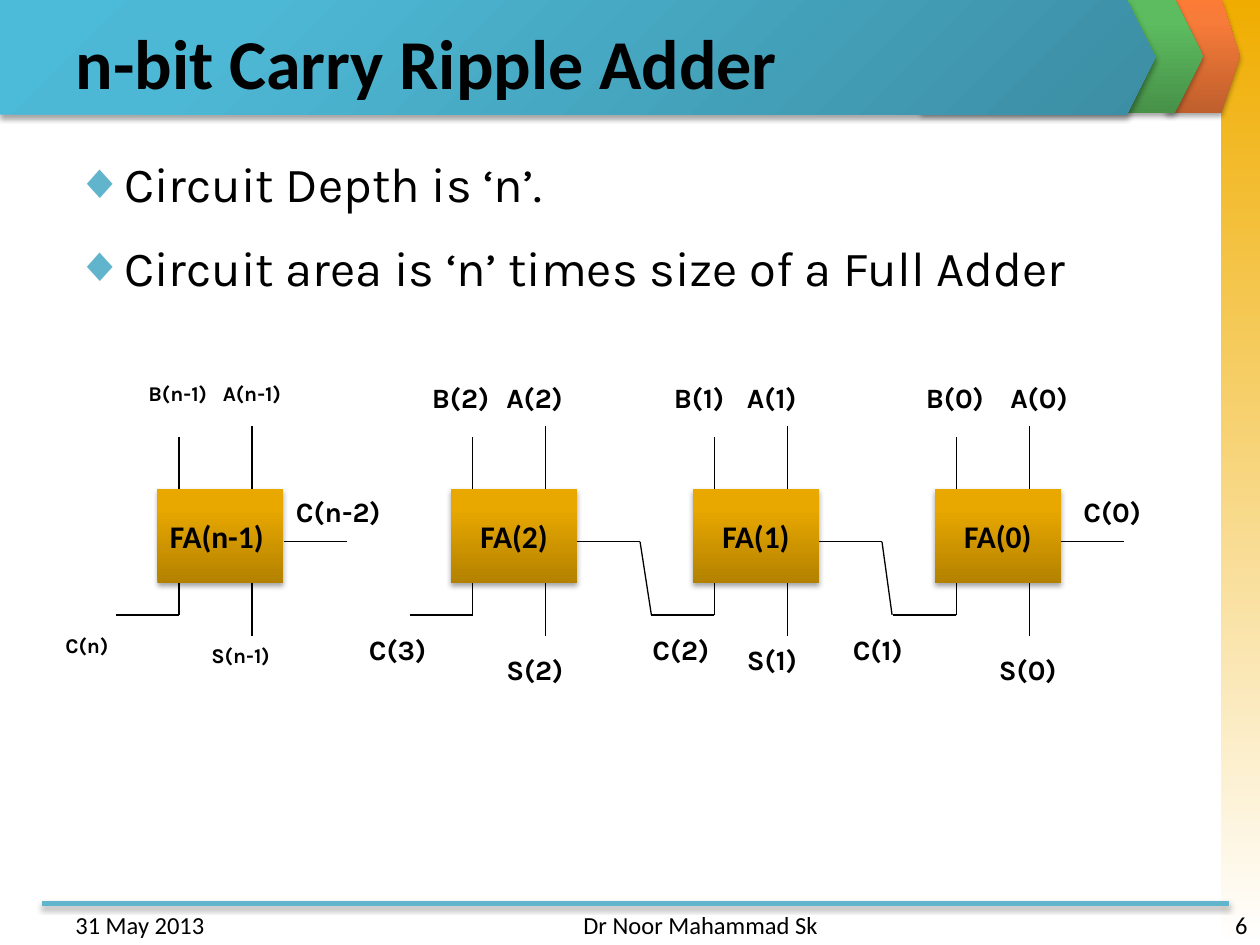
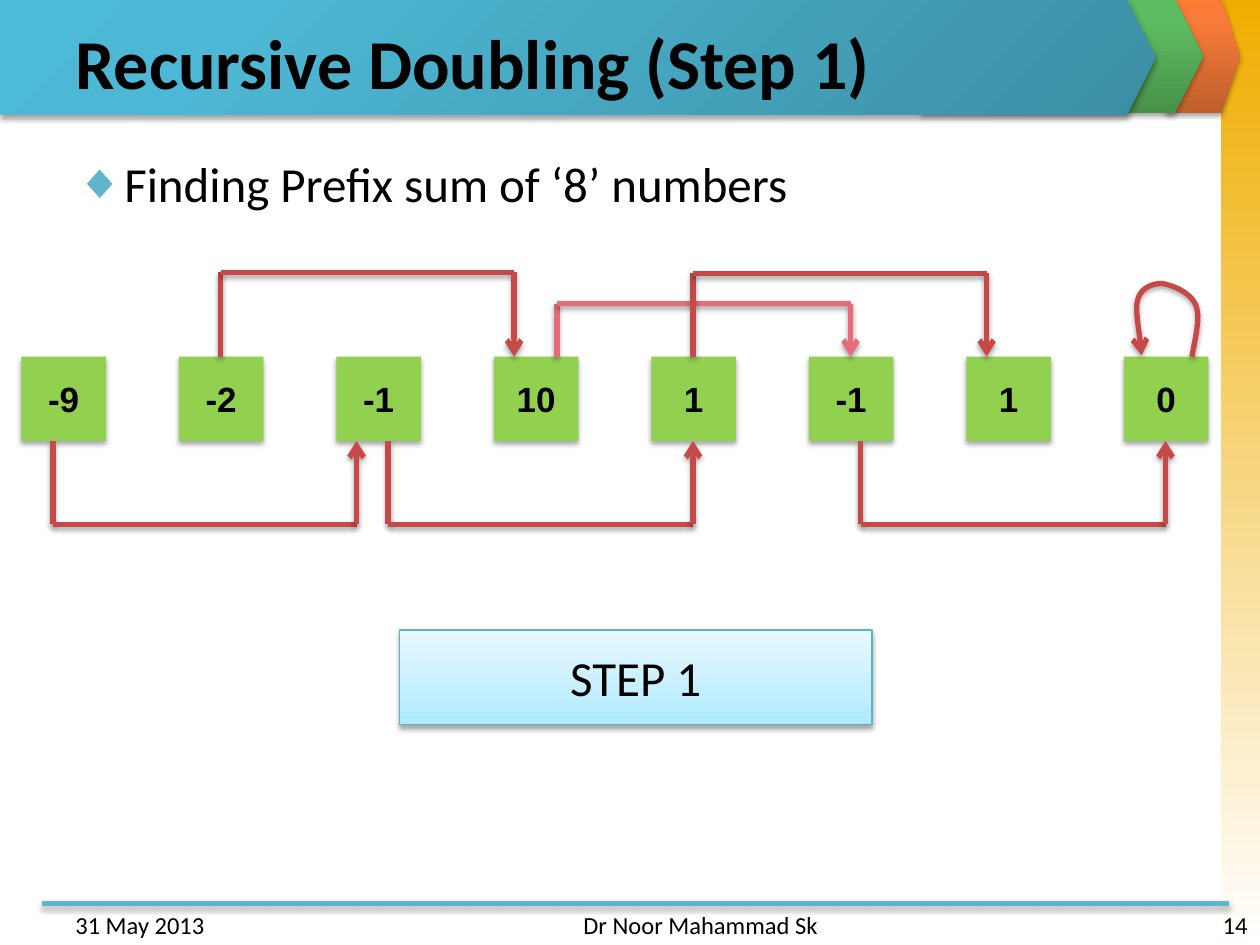
from lxml import etree
from pptx import Presentation
from pptx import util as u
from pptx.dml import color
from pptx.enum import shapes, text
from pptx.oxml import ns

COLORS = {
    "ink": "000000", "rule": "60B5CC", "cell": "92D050",
    "red": "C64847", "pink": "E66C7D", "step_line": "5BB3CA",
}
GRADIENTS = {
    "strip": [(0, "F0AD00"), (100, "FFFFFF")],
    "orange": [(0, "BE5F2C"), (80, "F77B39"), (100, "FC7B35")],
    "green": [(0, "479149"), (80, "5DBC5F"), (100, "5BBF5E")],
    "blue": [(0, "3C8EA4"), (80, "4DB8D5"), (100, "4BBBD9")],
    "adder": [(0, "B38100"), (80, "E9A800"), (100, "EAA800")],
    "step": [(0, "ADE9FF"), (35, "C5EFFF"), (100, "E9F9FF")],
}
A = 'xmlns:a="http://schemas.openxmlformats.org/drawingml/2006/main"'
LEFT, CENTER, RIGHT = text.PP_ALIGN.LEFT, text.PP_ALIGN.CENTER, text.PP_ALIGN.RIGHT
RECT, PENTAGON = shapes.MSO_SHAPE.RECTANGLE, shapes.MSO_SHAPE.PENTAGON


def finish(sp, shadow=True, gradient=None, angle=270, line=None, width=0.75, arrow=False):
    spPr = sp._element.spPr
    if gradient:
        sp.fill.solid()
        stops = "".join(f'<a:gs pos="{pos * 1000}"><a:srgbClr val="{rgb}"/></a:gs>'
                        for pos, rgb in GRADIENTS[gradient])
        shade = f'<a:lin ang="{angle * 60000}" scaled="0"/>'
        if gradient == "blue":
            shade = '<a:path path="circle"><a:fillToRect l="100000" t="100000"/></a:path>'
        spPr.replace(spPr.find(ns.qn("a:solidFill")), etree.fromstring(
            f'<a:gradFill {A} rotWithShape="1"><a:gsLst>{stops}</a:gsLst>{shade}</a:gradFill>'))
    if line:
        sp.line.color.rgb = color.RGBColor.from_string(COLORS[line])
        sp.line.width = u.Pt(width)
    else:
        sp.line.fill.background()
    if arrow:
        etree.SubElement(spPr.find(ns.qn("a:ln")), ns.qn("a:tailEnd"), type="arrow")
    effects = etree.SubElement(spPr, ns.qn("a:effectLst"))
    if shadow:
        effects.append(etree.fromstring(
            f'<a:outerShdw {A} blurRad="{u.Pt(3.1)}" dist="{u.Pt(1.8)}" dir="5400000" rotWithShape="0">'
            '<a:srgbClr val="000000"><a:alpha val="35000"/></a:srgbClr></a:outerShdw>'))


def write(p, words, size, font="Calibri", bold=False, align=LEFT):
    p.alignment = align
    r = p.add_run()
    r.text = words
    r.font.size, r.font.name, r.font.bold = u.Pt(size), font, bold
    r.font.color.rgb = color.RGBColor.from_string(COLORS["ink"])


prs = Presentation()
prs.slide_width, prs.slide_height = u.Inches(10), u.Inches(7.5)
layout = prs.slide_layouts[1]
adder = prs.slides.add_slide(layout)
doubling = prs.slides.add_slide(layout)

bands = []
for kind, gradient, x, y, w, h in [
    (RECT, "strip", 9.69, 0, 0.31, 7.5),
    (PENTAGON, "orange", 9.25, -0.01, 0.59, 0.91),
    (PENTAGON, "green", 7.31, -0.01, 2.24, 0.91),
    (PENTAGON, "blue", 0, 0, 9.17, 0.91),
]:
    sp = adder.shapes.add_shape(kind, *map(u.Inches, (x, y, w, h)))
    if kind == PENTAGON:
        sp.adjustments[0] = 0.25
    finish(sp, kind == PENTAGON, gradient, 90 if kind == RECT else 270)
    bands.append(sp)
rule = adder.shapes.add_connector(shapes.MSO_CONNECTOR.STRAIGHT,
                                  *map(u.Inches, (0.33, 7.17, 9.75, 7.17)))
finish(rule, line="rule", width=3)
for i, sp in enumerate(bands + [rule]):
    sp._element.xpath(".//p:cNvPr")[0].set("id", str(20 + i))
    layout.shapes._spTree.insert(2 + i, sp._element)

for s, title, bullets, font, height, number in [
    (adder, "n-bit Carry Ripple Adder",
     ["Circuit Depth is ‘n’.", "Circuit area is ‘n’ times size of a Full Adder"], "Karla", 1.25, "6"),
    (doubling, "Recursive Doubling (Step 1)",
     ["Finding Prefix sum of ‘8’ numbers"], "Calibri", 0.75, "14"),
]:
    head, body = s.shapes.title, s.placeholders[1]
    for sp, y, h in [(head, 0.14, 0.69), (body, 1.17, height)]:
        sp.left, sp.top, sp.width, sp.height = map(u.Inches, (0.5, y, 9, h))
        sp.text_frame.auto_size = text.MSO_AUTO_SIZE.NONE
    head.text_frame.vertical_anchor = text.MSO_ANCHOR.MIDDLE
    write(head.text_frame.paragraphs[0], title, 40, bold=True)
    tf = body.text_frame
    for i, words in enumerate(bullets):
        p = tf.add_paragraph() if i else tf.paragraphs[0]
        pPr = p._p.get_or_add_pPr()
        pPr.set("marL", str(u.Inches(0.38)))
        pPr.set("indent", str(u.Inches(-0.38)))
        clr = etree.SubElement(pPr, ns.qn("a:buClr"))
        etree.SubElement(clr, ns.qn("a:srgbClr"), val=COLORS["rule"])
        etree.SubElement(pPr, ns.qn("a:buFont"), typeface="Arial")
        etree.SubElement(pPr, ns.qn("a:buChar"), char="◆")
        p.space_before = u.Pt(14 if i else 0)
        write(p, words, 28, font)
    for words, x, w, align in [("31 May 2013", 0.5, 2.33, LEFT),
                               ("Dr Noor Mahammad Sk", 3.42, 3.17, RIGHT),
                               (number, 7.67, 2.33, RIGHT)]:
        tf = s.shapes.add_textbox(*map(u.Inches, (x, 7.17, w, 0.25))).text_frame
        tf.word_wrap = True
        write(tf.paragraphs[0], words, 14, align=align)

wires = [(7, 4.3, 7.08, 4.88), (5.08, 4.3, 5.17, 4.88)]
for name, x in [("FA(0)", 7.42), ("FA(1)", 5.5), ("FA(2)", 3.58), ("FA(n-1)", 1.25)]:
    sp = adder.shapes.add_shape(RECT, *map(u.Inches, (x, 3.88, 1, 0.75)))
    finish(sp, gradient="adder")
    tf = sp.text_frame
    tf.word_wrap = False
    tf.vertical_anchor = text.MSO_ANCHOR.MIDDLE
    write(tf.paragraphs[0], name, 18, bold=True, align=LEFT if name == "FA(n-1)" else CENTER)
    b, a = x + 0.17, x + 0.75
    wires += [(b, 3.47, b, 3.88), (a, 3.38, a, 3.88), (x + 1, 4.3, x + 1.5, 4.3),
              (a, 4.63, a, 5.05), (b, 4.63, b, 4.88), (b, 4.88, b - 0.5, 4.88)]

for name, x, y, size in [
    ("A(0)", 7.92, 2.97, 16), ("B(0)", 7.25, 2.97, 16),
    ("A(1)", 5.83, 2.97, 16), ("B(1)", 5.25, 2.97, 16),
    ("A(2)", 3.92, 2.97, 16), ("B(2)", 3.33, 2.97, 16),
    ("A(n-1)", 1.67, 2.97, 12), ("B(n-1)", 1.08, 2.97, 12),
    ("S(0)", 7.83, 5.13, 16), ("C(1)", 6.67, 4.97, 16),
    ("S(1)", 5.83, 5.05, 16), ("C(2)", 5.08, 4.97, 16),
    ("S(2)", 3.92, 5.13, 16), ("C(3)", 2.83, 4.97, 16),
    ("S(n-1)", 1.58, 5.05, 12), ("C(n)", 0.42, 4.97, 12),
    ("C(n-2)", 2.25, 3.88, 16), ("C(0)", 8.5, 3.88, 16),
]:
    w = 1.08 if name == "C(n-2)" else 0.83
    h = 0.37 if size == 16 else 0.3
    tf = adder.shapes.add_textbox(*map(u.Inches, (x, y, w, h))).text_frame
    tf.word_wrap = True
    write(tf.paragraphs[0], name, size, "Karla", True)

for i, value in enumerate(["-9", "-2", "-1", "10", "1", "-1", "1", "0"]):
    sp = doubling.shapes.add_shape(RECT, *map(u.Inches, (0.17 + 1.25 * i, 2.83, 0.67, 0.67)))
    sp.fill.solid()
    sp.fill.fore_color.rgb = color.RGBColor.from_string(COLORS["cell"])
    finish(sp)
    sp.text_frame.vertical_anchor = text.MSO_ANCHOR.MIDDLE
    write(sp.text_frame.paragraphs[0], value, 20, "Arial", True, CENTER)

segments = [(adder, wire, "ink", 0.75, False) for wire in wires]
for start, end, edge, level, ink in [
    (0.42, 2.83, 3.5, 4.16, "red"), (3.08, 5.5, 3.5, 4.16, "red"),
    (6.83, 9.25, 3.5, 4.16, "red"), (1.75, 4.08, 2.83, 2.16, "red"),
    (4.42, 6.75, 2.83, 2.41, "pink"), (5.5, 7.83, 2.83, 2.17, "red"),
]:
    segments += [(doubling, (start, edge, start, level), ink, 3, False),
                 (doubling, (start, level, end, level), ink, 3, False),
                 (doubling, (end, level, end, edge), ink, 3, True)]
for s, ends, ink, width, arrow in segments:
    line = s.shapes.add_connector(shapes.MSO_CONNECTOR.STRAIGHT, *map(u.Inches, ends))
    finish(line, s is doubling, line=ink, width=width, arrow=arrow)

curve = [(9.46, 2.83), (9.49, 2.67), (9.53, 2.51), (9.49, 2.42), (9.45, 2.32), (9.3, 2.26),
         (9.22, 2.25), (9.14, 2.25), (9.05, 2.29), (9.03, 2.38), (9, 2.46), (9.06, 2.71), (9.06, 2.82)]
points = []
for k in range(0, len(curve) - 1, 3):
    for t in [n / 10 for n in range(1, 11)]:
        weights = ((1 - t) ** 3, 3 * t * (1 - t) ** 2, 3 * t * t * (1 - t), t ** 3)
        points.append(tuple(u.Inches(sum(wt * pt[axis] for wt, pt in zip(weights, curve[k:k + 4])))
                            for axis in (0, 1)))
builder = doubling.shapes.build_freeform(*map(u.Inches, curve[0]))
builder.add_line_segments(points, close=False)
loop = builder.convert_to_shape()
loop.fill.background()
finish(loop, line="red", width=3, arrow=True)

sp = doubling.shapes.add_shape(RECT, *map(u.Inches, (3.17, 5, 3.75, 0.75)))
finish(sp, gradient="step", line="step_line")
sp.text_frame.vertical_anchor = text.MSO_ANCHOR.MIDDLE
write(sp.text_frame.paragraphs[0], "STEP 1", 28, align=CENTER)

prs.save("out.pptx")
